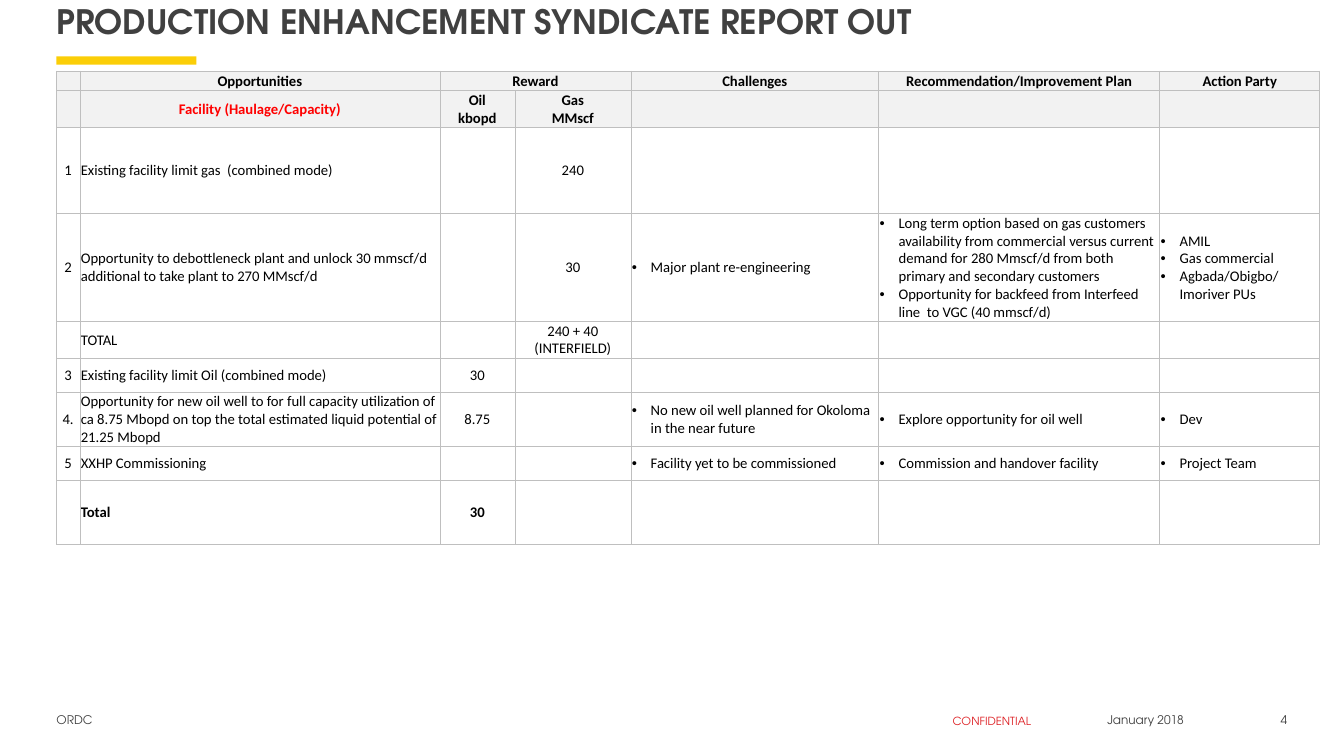
import pptx
import pptx.util
import pptx.dml.color
import pptx.enum.shapes
import pptx.enum.text
import pptx.oxml.ns
from lxml import etree

Pt = pptx.util.Pt
qn = pptx.oxml.ns.qn
ALIGN = pptx.enum.text.PP_ALIGN
ANCHOR = pptx.enum.text.MSO_ANCHOR

# Content
TITLE = "PRODUCTION ENHANCEMENT SYNDICATE REPORT OUT"
HEAD_FONT, BODY_FONT = "TeX Gyre Adventor", "Calibri"
GREY, RED, YELLOW, BORDER, HEADER_FILL = "404040", "DD1D21", "FBCE07", "BFBFBF", "F2F2F2"

# text, left, top, width, height, alignment, size, colour
FOOTERS = [
    ("ORDC", 40.3, 509, 264, 18.7, ALIGN.LEFT, 8.5, GREY),
    ("CONFIDENTIAL", 666, 510.5, 85, 13.7, ALIGN.CENTER, 8, RED),
    ("January 2018", 761.8, 509, 113, 18.7, ALIGN.CENTER, 8.5, GREY),
    ("4", 891.4, 509, 28, 18.7, ALIGN.RIGHT, 8.5, GREY),
]

# A list in a cell is a bulleted list
ROWS = [
    ("", "Opportunities", "Reward", "", "Challenges",
     "Recommendation/Improvement Plan", "Action Party"),
    ("", "Facility (Haulage/Capacity)", "Oil\vkbopd", "Gas\vMMscf", "", "", ""),
    ("1", "Existing facility limit gas  (combined mode)", "", "240", "", "", ""),
    ("2", "Opportunity to debottleneck plant and unlock 30 mmscf/d additional "
          "to take plant to 270 MMscf/d", "", "30",
     ["Major plant re-engineering"],
     ["Long term option based on gas customers availability from commercial versus "
      "current demand for 280 Mmscf/d from both primary and secondary customers",
      "Opportunity for backfeed from Interfeed line  to VGC (40 mmscf/d)"],
     ["AMIL", "Gas commercial", "Agbada/Obigbo/Imoriver PUs"]),
    ("", "TOTAL", "", "240 + 40 (INTERFIELD)", "", "", ""),
    ("3", "Existing facility limit Oil (combined mode)", "30", "", "", "", ""),
    ("4.", "Opportunity for new oil well to for full capacity utilization of ca 8.75 Mbopd "
           "on top the total estimated liquid potential of 21.25 Mbopd", "8.75", "",
     ["No new oil well planned for Okoloma in the near future"],
     ["Explore opportunity for oil well"], ["Dev"]),
    ("5", "XXHP Commissioning", "", "", ["Facility yet to be commissioned"],
     ["Commission and handover facility"], ["Project Team"]),
    ("", "Total", "30", "", "", "", ""),
]
COL_WIDTHS = [16.8, 257.1, 53.6, 82.9, 177.1, 200.7, 114.3]
ROW_HEIGHTS = [13.9, 25.4, 61.4, 76.8, 25.7, 24.3, 38.6, 24.3, 45.7]
HEADER_ROWS = 2
CELL_SIZE, BULLET_INDENT = 10.5, 13.5


def rgb(value):
    return pptx.dml.color.RGBColor.from_string(value)


def set_all(obj, **values):
    for name, value in values.items():
        setattr(obj, name, value)


def style(font, name, size, color, bold=False):
    set_all(font, name=name, size=Pt(size), bold=bold)
    font.color.rgb = rgb(color)


def format_frame(tf, right=0, bottom=0):
    set_all(tf, word_wrap=True, auto_size=pptx.enum.text.MSO_AUTO_SIZE.NONE,
            vertical_anchor=ANCHOR.TOP, margin_left=0, margin_top=0,
            margin_right=Pt(right), margin_bottom=Pt(bottom))


def add_bullet(p):
    pPr = p._p.get_or_add_pPr()
    pPr.set("marL", str(Pt(BULLET_INDENT)))
    pPr.set("indent", str(-Pt(BULLET_INDENT)))
    etree.SubElement(pPr, qn("a:buFont"), typeface="Arial")
    etree.SubElement(pPr, qn("a:buChar"), char="•")


def add_borders(cell):
    tcPr = cell._tc.get_or_add_tcPr()
    for i, side in enumerate(("lnL", "lnR", "lnT", "lnB")):
        ln = etree.Element(qn("a:" + side), w=str(Pt(0.5)))
        fill = etree.SubElement(ln, qn("a:solidFill"))
        etree.SubElement(fill, qn("a:srgbClr"), val=BORDER)
        tcPr.insert(i, ln)


def fill_cell(cell, content, row, col):
    header = row < HEADER_ROWS
    bold = header or row == len(ROWS) - 1
    color = "FF0000" if (row, col) == (1, 1) else "000000"
    set_all(cell, vertical_anchor=ANCHOR.MIDDLE, margin_left=Pt(0.7),
            margin_right=Pt(0.7), margin_top=Pt(0.7), margin_bottom=0)
    if header:
        cell.fill.solid()
        cell.fill.fore_color.rgb = rgb(HEADER_FILL)
    else:
        cell.fill.background()
    add_borders(cell)

    bulleted = isinstance(content, list)
    for i, text in enumerate(content if bulleted else [content]):
        tf = cell.text_frame
        p = tf.paragraphs[0] if i == 0 else tf.add_paragraph()
        p.text = text
        if bulleted:
            add_bullet(p)
        else:
            p.alignment = ALIGN.CENTER if header or col in (0, 2, 3) else ALIGN.LEFT
        for r in p.runs:
            style(r.font, BODY_FONT, CELL_SIZE, color, bold)
        # Line breaks and empty cells keep the size of the table text
        size = str(int(CELL_SIZE * 100))
        for br in p._p.findall(qn("a:br")):
            etree.SubElement(br, qn("a:rPr"), sz=size)
        if not text:
            etree.SubElement(p._p, qn("a:endParaRPr"), sz=size)


prs = pptx.Presentation()
set_all(prs, slide_width=Pt(960), slide_height=Pt(540))
s = prs.slides.add_slide(prs.slide_layouts[5])

# Title
title = s.shapes.title
set_all(title, left=Pt(40.3), top=Pt(0.7), width=Pt(880), height=Pt(59))
format_frame(title.text_frame)
p = title.text_frame.paragraphs[0]
p.text = TITLE
p.alignment = ALIGN.LEFT
style(p.runs[0].font, HEAD_FONT, 24, GREY, True)

# Accent bar
bar = s.shapes.add_shape(pptx.enum.shapes.MSO_SHAPE.RECTANGLE,
                         Pt(40.3), Pt(40.3), Pt(100), Pt(5.8))
bar.shadow.inherit = False
bar.fill.solid()
bar.fill.fore_color.rgb = rgb(YELLOW)
bar.line.fill.background()

# Footer
for text, left, top, width, height, align, size, color in FOOTERS:
    sp = s.shapes.add_textbox(Pt(left), Pt(top), Pt(width), Pt(height))
    format_frame(sp.text_frame, bottom=3.6)
    p = sp.text_frame.paragraphs[0]
    p.text = text
    p.alignment = align
    style(p.runs[0].font, HEAD_FONT, size, color)

# Table
table = s.shapes.add_table(len(ROWS), len(COL_WIDTHS), Pt(40.3), Pt(50.9),
                           Pt(sum(COL_WIDTHS)), Pt(sum(ROW_HEIGHTS))).table
set_all(table, first_row=False, horz_banding=False)
for column, width in zip(table.columns, COL_WIDTHS):
    column.width = Pt(width)
for line, height in zip(table.rows, ROW_HEIGHTS):
    line.height = Pt(height)
for row, contents in enumerate(ROWS):
    for col, content in enumerate(contents):
        fill_cell(table.cell(row, col), content, row, col)
table.cell(0, 2).merge(table.cell(0, 3))

prs.save("out.pptx")
